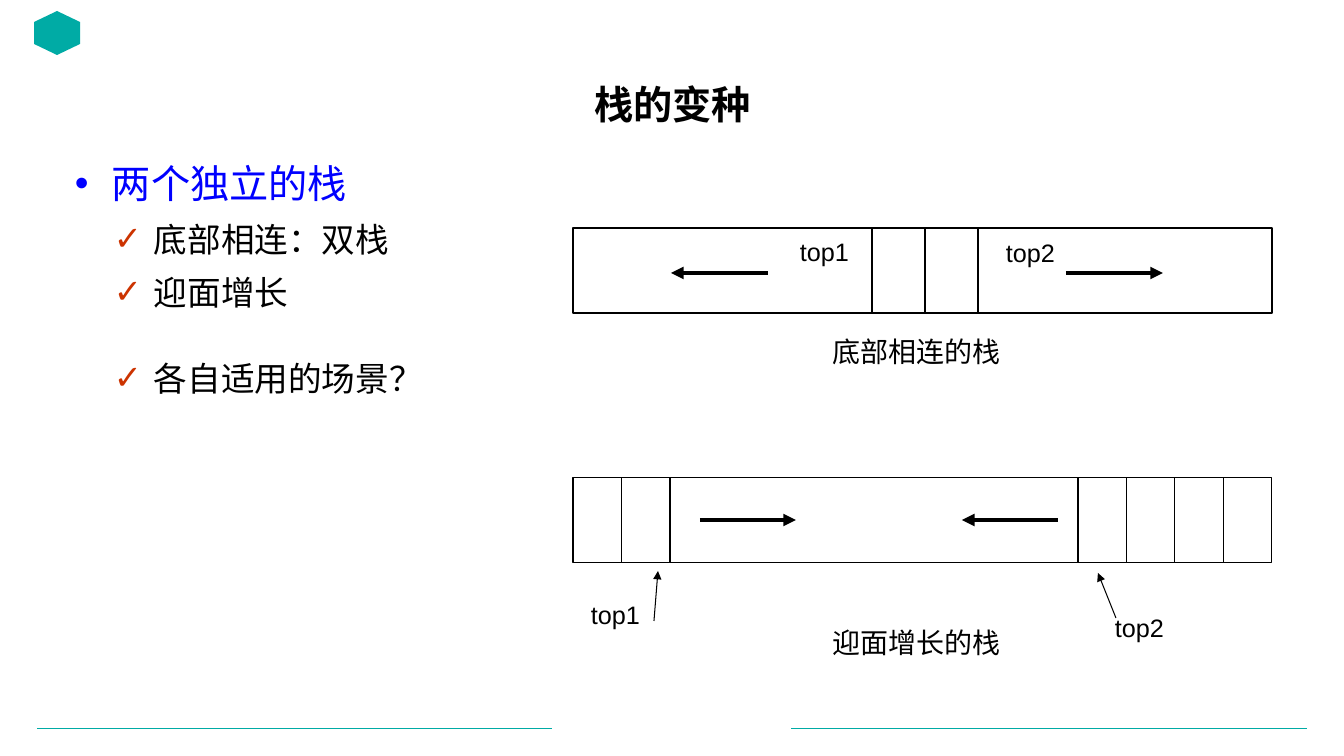
"""Build a slide on two variants of paired stacks."""
from dataclasses import dataclass

from lxml import etree
from pptx import Presentation
from pptx.dml.color import RGBColor
from pptx.enum.shapes import MSO_CONNECTOR, MSO_SHAPE
from pptx.enum.text import MSO_ANCHOR, PP_ALIGN
from pptx.oxml.ns import qn
from pptx.util import Emu, Pt

STRAIGHT = MSO_CONNECTOR.STRAIGHT
RECTANGLE, HEXAGON = MSO_SHAPE.RECTANGLE, MSO_SHAPE.HEXAGON
LEFT, CENTER = PP_ALIGN.LEFT, PP_ALIGN.CENTER
TOP, MIDDLE = MSO_ANCHOR.TOP, MSO_ANCHOR.MIDDLE
PX = 914400 / 100.8


@dataclass(frozen=True)
class Theme:
    ink: str = "000000"
    paper: str = "FFFFFF"
    topic: str = "0000FF"
    check: str = "CC3300"
    teal: str = "00ABA5"
    latin: str = "Arial"
    cjk: str = "Noto Sans CJK SC"
    heading: int = 28
    point: int = 24
    caption: int = 20
    label: int = 18
    rule: float = 0.5
    thin: float = 0.75
    border: float = 1
    arrow: float = 3


THEME = Theme()

TITLE = ("栈的变种", (93, 75, 1159, 57))
BADGE = (35, 10, 44, 46)
FOOTER_RULES = [(552, 728, 37, 728), (1307, 728, 791, 728)]

OUTLINE_BOX = (65, 150, 480, 546)
OUTLINE = [
    ("两个独立的栈", 0, 6),
    ("底部相连：双栈", 1, 6),
    ("迎面增长", 1, 6),
    ("各自适用的场景？", 1, 30),
]
LEVELS = [
    ("•", THEME.topic, THEME.topic, THEME.heading, 37, 37),
    ("✓", THEME.check, THEME.ink, THEME.point, 79, 40),
]

CELL_HEIGHT = 85
STACKS = [
    (228, [573, 872, 925, 978, 1272], THEME.border),
    (478, [573, 622, 670, 1078, 1127, 1175, 1224, 1272], THEME.thin),
]
CAPTIONS = [("底部相连的栈", 774, 330), ("迎面增长的栈", 774, 621)]
TOP_LABELS = [
    ("top1", 790, 231), ("top2", 996, 232),
    ("top1", 581, 594), ("top2", 1105, 607),
]
GROWTH_ARROWS = [
    (768, 273, 671, 273), (1066, 273, 1163, 273),
    (700, 520, 796, 520), (1058, 520, 962, 520),
]
POINTERS = [(654, 621, 658, 571), (1116, 618, 1098, 573)]


def px(*lengths):
    return [Emu(round(length * PX)) for length in lengths]


def rgb(code):
    return RGBColor.from_string(code)


def add_line(slide, ends, color, width, arrow=False):
    line = slide.shapes.add_connector(STRAIGHT, *px(*ends))
    line.line.color.rgb = rgb(color)
    line.line.width = Pt(width)
    if arrow:
        etree.SubElement(line.line._get_or_add_ln(), qn("a:tailEnd"), type="triangle")
    etree.SubElement(line._element.spPr, qn("a:effectLst"))


def add_block(slide, kind, box, fill, border=None):
    block = slide.shapes.add_shape(kind, *px(*box))
    block.shadow.inherit = False
    block.fill.solid()
    block.fill.fore_color.rgb = rgb(fill)
    if border:
        block.line.color.rgb = rgb(THEME.ink)
        block.line.width = Pt(border)
    else:
        block.line.fill.background()
    return block


def style(paragraph, size, color, font, bold=False):
    for run in paragraph.runs:
        run.font.size = Pt(size)
        run.font.bold = bold
        run.font.name = font
        run.font.color.rgb = rgb(color)
        etree.SubElement(run._r.get_or_add_rPr(), qn("a:ea"), typeface=font)


def add_text(slide, text, box, size, font, align=LEFT, anchor=TOP, bold=False):
    frame = slide.shapes.add_textbox(*px(*box)).text_frame
    frame.word_wrap = True
    frame.vertical_anchor = anchor
    frame.text = text
    frame.paragraphs[0].alignment = align
    style(frame.paragraphs[0], size, THEME.ink, font, bold)


def add_outline(slide):
    frame = slide.shapes.add_textbox(*px(*OUTLINE_BOX)).text_frame
    frame.word_wrap = True
    frame.text = "\n".join(text for text, _, _ in OUTLINE)
    for paragraph, (_, level, gap) in zip(frame.paragraphs, OUTLINE):
        mark, mark_color, color, size, margin, hanging = LEVELS[level]
        paragraph.level = level
        paragraph.line_spacing = 1.1
        paragraph.space_before = Pt(gap)
        style(paragraph, size, color, THEME.cjk)
        properties = paragraph._p.get_or_add_pPr()
        properties.set("marL", str(px(margin)[0]))
        properties.set("indent", str(px(-hanging)[0]))
        bullet_color = etree.SubElement(properties, qn("a:buClr"))
        etree.SubElement(bullet_color, qn("a:srgbClr"), val=mark_color)
        etree.SubElement(properties, qn("a:buFont"), typeface=THEME.latin)
        etree.SubElement(properties, qn("a:buChar"), char=mark)


def main():
    deck = Presentation()
    deck.slide_width, deck.slide_height = px(1344, 756)
    slide = deck.slides.add_slide(deck.slide_layouts[6])

    for ends in FOOTER_RULES:
        add_line(slide, ends, THEME.teal, THEME.rule)
    add_block(slide, HEXAGON, BADGE, THEME.teal).rotation = 90
    title, title_box = TITLE
    add_text(slide, title, title_box, THEME.heading, THEME.cjk, CENTER, MIDDLE, True)
    add_outline(slide)

    for top, edges, border in STACKS:
        for left, right in zip(edges, edges[1:]):
            cell = (left, top, right - left, CELL_HEIGHT)
            add_block(slide, RECTANGLE, cell, THEME.paper, border)
    for ends in GROWTH_ARROWS:
        add_line(slide, ends, THEME.ink, THEME.arrow, True)
    for ends in POINTERS:
        add_line(slide, ends, THEME.ink, THEME.thin, True)
    for text, left, top in CAPTIONS:
        add_text(slide, text, (left, top, 285, 44), THEME.caption, THEME.cjk, CENTER)
    for text, left, top in TOP_LABELS:
        add_text(slide, text, (left, top, 101, 48), THEME.label, THEME.latin)

    deck.save("out.pptx")


if __name__ == "__main__":
    main()
